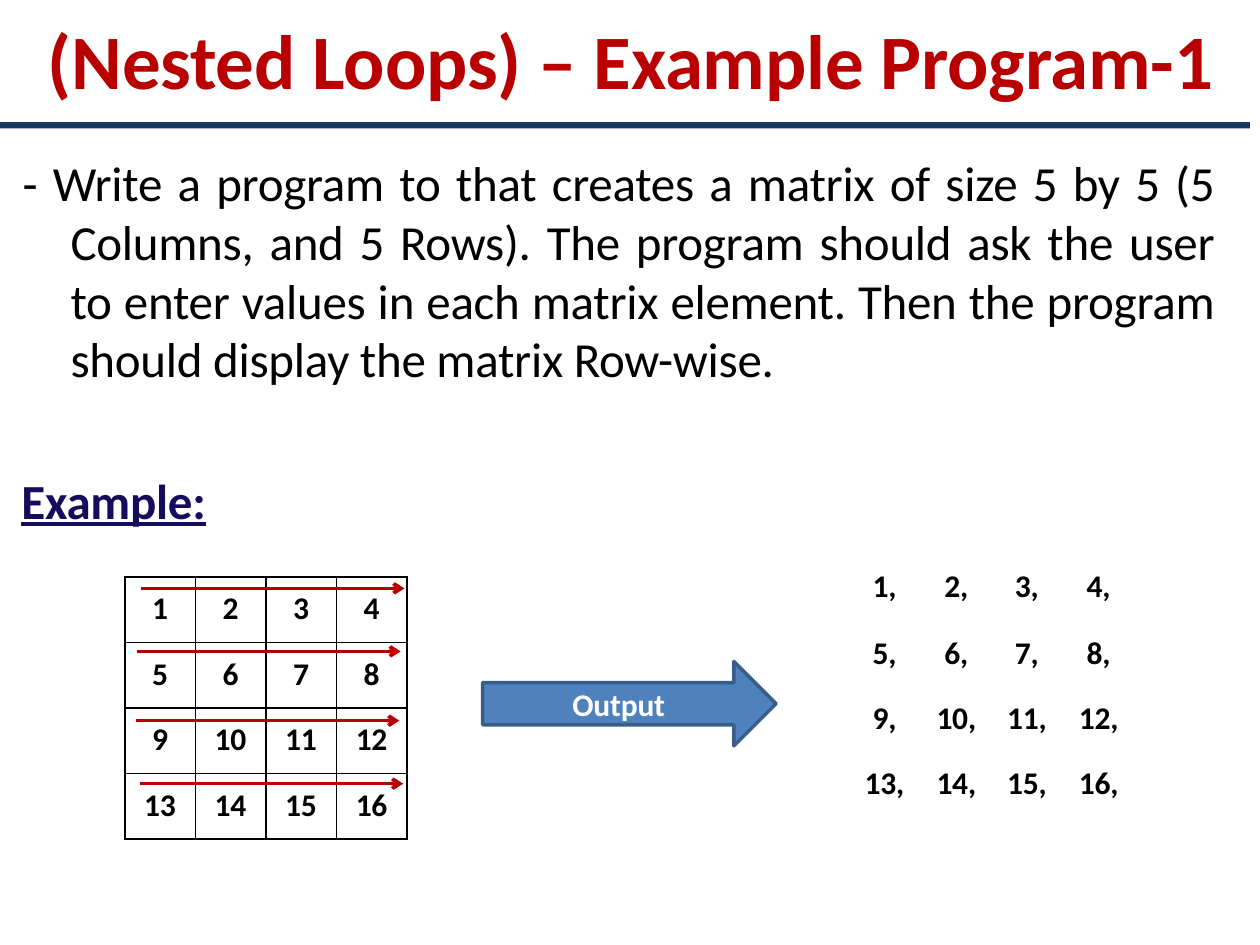
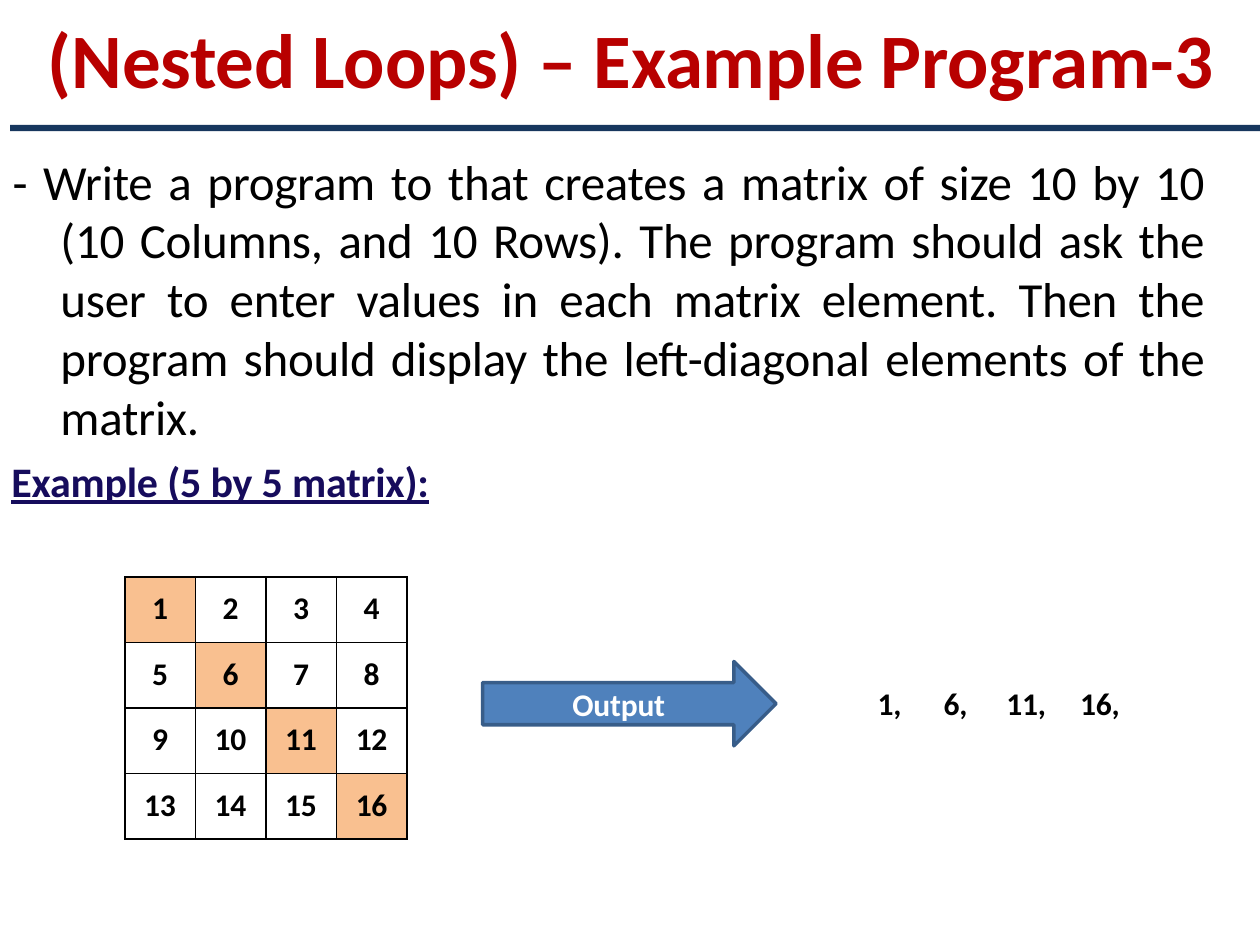
from dataclasses import dataclass

from lxml import etree
from pptx import Presentation
from pptx.dml.color import RGBColor
from pptx.enum import shapes, text
from pptx.oxml.ns import qn
from pptx.util import Inches, Pt

FONT = "Calibri"
RED = "B80000"
BLACK = "000000"
WHITE = "FFFFFF"
NAVY = "17375E"
INDIGO = "160C5C"
ARROW_FILL = "4F81BC"
ARROW_LINE = "385D89"
HIGHLIGHT = "F9C090"
SIZE = 4
MATRIX = [[SIZE * row + column + 1 for column in range(SIZE)] for row in range(SIZE)]
CELL_HEIGHT = 0.52
SWEEP_LENGTH = 2.09


@dataclass(frozen=True)
class Grid:
    left: float
    top: float
    columns: list[float]
    rows: list[float]
    values: list[list[str]]
    margins: list[float]
    border: str | None = None
    line_spacing: float | None = None
    highlight_diagonal: bool = False


@dataclass(frozen=True)
class ProgramSlide:
    title: str
    title_top: float
    rule_left: float
    rule_top: float
    body_left: float
    body_top: float
    task: str
    heading: str
    heading_size: float
    heading_gap: float
    output: Grid
    sweeps: list[tuple[float, float]]
    highlight_diagonal: bool


def rgb(value: str) -> RGBColor:
    return RGBColor.from_string(value)


def style_paragraph(paragraph, size: float, color: str, bold: bool = False, tracking: int = -10) -> None:
    font = paragraph.font
    font.name, font.size, font.bold = FONT, Pt(size), bold
    font.color.rgb = rgb(color)
    paragraph._p.get_or_add_pPr().get_or_add_defRPr().set("spc", str(tracking))


def add_text_frame(slide, left: float, top: float, width: float, height: float):
    frame = slide.shapes.add_textbox(Inches(left), Inches(top), Inches(width), Inches(height)).text_frame
    frame.word_wrap = True
    frame.margin_left = frame.margin_right = frame.margin_bottom = 0
    frame.margin_top = Inches(0.02)
    return frame


def add_title(slide, title: str, top: float) -> None:
    paragraph = add_text_frame(slide, 0.38, top, 9.35, 0.76).paragraphs[0]
    paragraph.text = title
    style_paragraph(paragraph, 44, RED, bold=True, tracking=-15)


def add_shape(slide, kind, left: float, top: float, width: float, height: float, fill: str):
    shape = slide.shapes.add_shape(kind, Inches(left), Inches(top), Inches(width), Inches(height))
    shape.shadow.inherit = False
    shape.fill.solid()
    shape.fill.fore_color.rgb = rgb(fill)
    shape.line.fill.background()
    return shape


def add_body(slide, content: ProgramSlide) -> None:
    frame = add_text_frame(slide, content.body_left, content.body_top, 9.47, 3)
    task = frame.paragraphs[0]
    task.text = content.task
    task.alignment = text.PP_ALIGN.JUSTIFY
    properties = task._p.get_or_add_pPr()
    properties.set("marL", str(Inches(0.39)))
    properties.set("indent", str(Inches(-0.38)))
    style_paragraph(task, 28, BLACK, tracking=-15)
    heading = frame.add_paragraph()
    heading.text = content.heading
    heading.space_before = Pt(content.heading_gap)
    style_paragraph(heading, content.heading_size, INDIGO, bold=True)
    heading.font.underline = True


def set_borders(cell, color: str | None) -> None:
    properties = cell._tc.get_or_add_tcPr()
    for side in ("a:lnL", "a:lnR", "a:lnT", "a:lnB"):
        line = etree.SubElement(properties, qn(side), w=str(Pt(1)))
        if color is None:
            etree.SubElement(line, qn("a:noFill"))
        else:
            fill = etree.SubElement(line, qn("a:solidFill"))
            etree.SubElement(fill, qn("a:srgbClr"), val=color)


def add_grid(slide, grid: Grid) -> None:
    table = slide.shapes.add_table(
        len(grid.rows), len(grid.columns), Inches(grid.left), Inches(grid.top),
        Inches(sum(grid.columns)), Inches(sum(grid.rows)),
    ).table
    table.first_row = table.horz_banding = False
    for column, width in zip(table.columns, grid.columns):
        column.width = Inches(width)
    for row_index, height in enumerate(grid.rows):
        table.rows[row_index].height = Inches(height)
        for column_index, value in enumerate(grid.values[row_index]):
            cell = table.cell(row_index, column_index)
            cell.margin_left = cell.margin_right = cell.margin_bottom = 0
            cell.margin_top = Inches(grid.margins[row_index])
            set_borders(cell, grid.border)
            if grid.highlight_diagonal and row_index == column_index:
                cell.fill.solid()
                cell.fill.fore_color.rgb = rgb(HIGHLIGHT)
            else:
                cell.fill.background()
            paragraph = cell.text_frame.paragraphs[0]
            paragraph.text = value
            paragraph.alignment = text.PP_ALIGN.CENTER
            if grid.line_spacing is not None:
                paragraph.line_spacing = Pt(grid.line_spacing)
            style_paragraph(paragraph, 18, BLACK, bold=True)


def add_matrix(slide, highlight_diagonal: bool) -> None:
    values = [[str(number) for number in row] for row in MATRIX]
    add_grid(slide, Grid(0.99, 4.58, [0.56] * SIZE, [CELL_HEIGHT] * SIZE, values, [0.1] * SIZE,
                         border=BLACK, highlight_diagonal=highlight_diagonal))


def add_output_arrow(slide) -> None:
    arrow = add_shape(slide, shapes.MSO_SHAPE.RIGHT_ARROW, 3.83, 5.25, 2.33, 0.67, ARROW_FILL)
    arrow.line.color.rgb = rgb(ARROW_LINE)
    arrow.line.width = Pt(2)
    frame = arrow.text_frame
    frame.margin_left = frame.margin_right = frame.margin_top = frame.margin_bottom = 0
    frame.vertical_anchor = text.MSO_ANCHOR.MIDDLE
    paragraph = frame.paragraphs[0]
    paragraph.text = "Output"
    paragraph.alignment = text.PP_ALIGN.CENTER
    style_paragraph(paragraph, 18, WHITE, bold=True)


def add_row_sweep(slide, left: float, top: float) -> None:
    connector = slide.shapes.add_connector(
        shapes.MSO_CONNECTOR.STRAIGHT, Inches(left), Inches(top), Inches(left + SWEEP_LENGTH), Inches(top))
    connector.line.color.rgb = rgb(RED)
    connector.line.width = Pt(2)
    properties = connector._element.spPr
    etree.SubElement(properties.find(qn("a:ln")), qn("a:tailEnd"), type="arrow")
    etree.SubElement(properties, qn("a:effectLst"))


def add_program_slide(presentation, content: ProgramSlide) -> None:
    slide = presentation.slides.add_slide(presentation.slide_layouts[6])
    add_title(slide, content.title, content.title_top)
    add_body(slide, content)
    add_shape(slide, shapes.MSO_SHAPE.RECTANGLE, content.rule_left, content.rule_top, 9.92, 0.05, NAVY)
    add_matrix(slide, content.highlight_diagonal)
    add_output_arrow(slide)
    add_grid(slide, content.output)
    for left, top in content.sweeps:
        add_row_sweep(slide, left, top)


PROGRAMS = [
    ProgramSlide(
        title="(Nested Loops) – Example Program-1", title_top=0.08,
        rule_left=0, rule_top=0.97, body_left=0.17, body_top=1.19,
        task="- Write a program to that creates a matrix of size 5 by 5 (5 Columns, and 5 Rows). "
             "The program should ask the user to enter values in each matrix element. "
             "Then the program should display the matrix Row-wise.",
        heading="Example:", heading_size=28, heading_gap=47,
        output=Grid(6.73, 4.57, [0.58, 0.56, 0.56, 0.58], [0.39, CELL_HEIGHT, CELL_HEIGHT, 0.39],
                    [[f"{number}," for number in row] for row in MATRIX],
                    [0, 0.14, 0.14, 0.14], line_spacing=17.1),
        sweeps=[(1.12, 4.67), (1.09, 5.17), (1.08, 5.72), (1.11, 6.22)],
        highlight_diagonal=False,
    ),
    ProgramSlide(
        title="(Nested Loops) – Example Program-3", title_top=0.07,
        rule_left=0.08, rule_top=0.99, body_left=0.09, body_top=1.18,
        task="- Write a program to that creates a matrix of size 10 by 10 (10 Columns, and 10 Rows). "
             "The program should ask the user to enter values in each matrix element. "
             "Then the program should display the left-diagonal elements of the matrix.",
        heading="Example (5 by 5 matrix):", heading_size=24, heading_gap=6,
        output=Grid(6.8, 5.51, [0.52, 0.53, 0.59, 0.58], [0.25],
                    [[f"{MATRIX[index][index]}," for index in range(SIZE)]], [0], line_spacing=17),
        sweeps=[],
        highlight_diagonal=True,
    ),
]


def main() -> None:
    presentation = Presentation()
    presentation.slide_width = Inches(10)
    presentation.slide_height = Inches(7.5)
    for content in PROGRAMS:
        add_program_slide(presentation, content)
    presentation.save("out.pptx")


if __name__ == "__main__":
    main()
